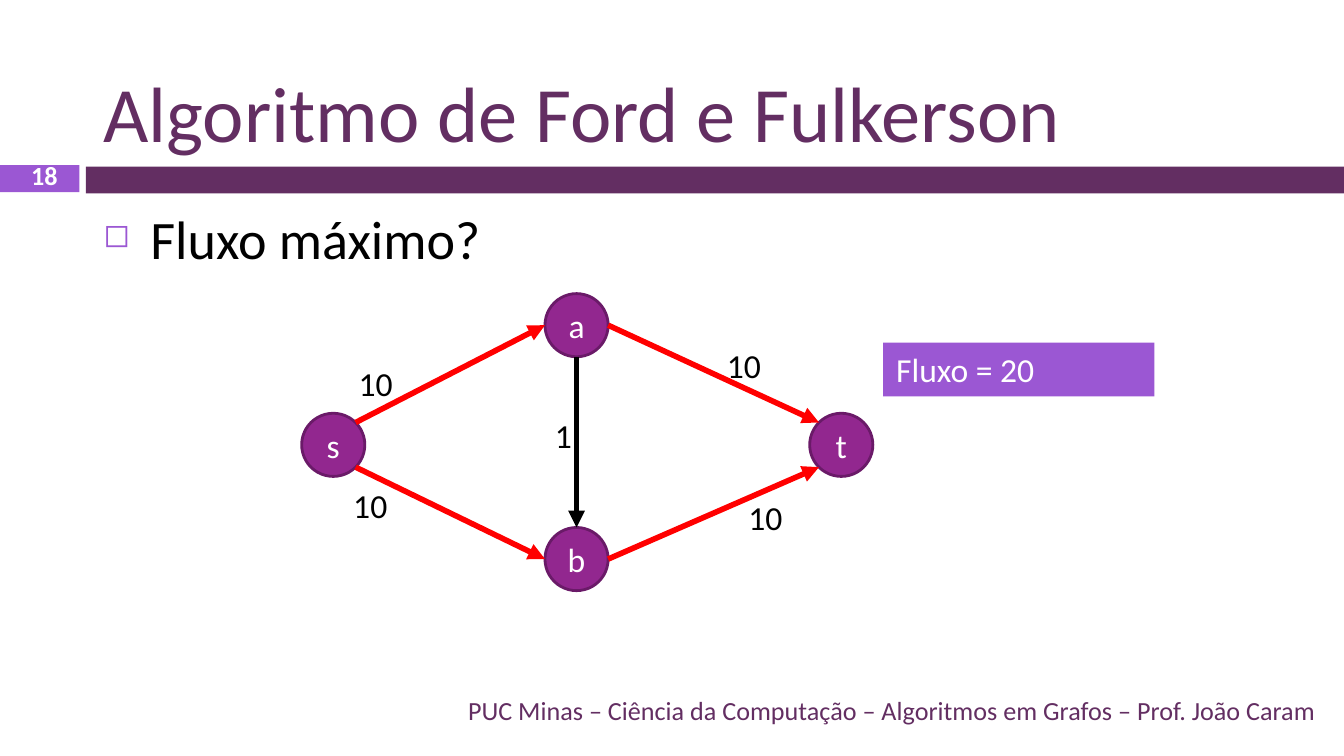
from math import sqrt

from lxml import etree
from pptx import Presentation
from pptx.dml.color import RGBColor
from pptx.enum import shapes, text
from pptx.oxml import ns
from pptx.util import Inches, Pt

THEME = {
    "font": "Calibri",
    "plum": "632E62", "violet": "9B57D3", "node": "92278F", "node_line": "6A1A68",
    "path": "FF0000", "black": "000000", "white": "FFFFFF",
    "title": 42, "body": 29, "label": 18, "small": 14,
}
LEFT, CENTER, RIGHT = text.PP_ALIGN.LEFT, text.PP_ALIGN.CENTER, text.PP_ALIGN.RIGHT
TOP, MIDDLE, BOTTOM = text.MSO_ANCHOR.TOP, text.MSO_ANCHOR.MIDDLE, text.MSO_ANCHOR.BOTTOM

BARS = [((0.64, 1.24, 9.37, 0.2), "plum"), ((0, 1.23, 0.59, 0.2), "violet")]
TITLE = "Algoritmo de Ford e Fulkerson"
QUESTION = "Fluxo máximo?"
PAGE_NUMBER = "18"
FOOTER = "PUC Minas – Ciência da Computação – Algoritmos em Grafos – Prof. João Caram"
RESULT = "Fluxo = 20"

NODE_SIZE = 0.47
NODES = {"s": (2.48, 3.31), "a": (4.29, 2.42), "b": (4.29, 4.16), "t": (6.26, 3.31)}
DIAGONAL = 1 / sqrt(2)
SIDES = {
    "top": (0, -1), "bottom": (0, 1), "left": (-1, 0), "right": (1, 0),
    "top right": (DIAGONAL, -DIAGONAL), "bottom right": (DIAGONAL, DIAGONAL),
    "top left": (-DIAGONAL, -DIAGONAL), "bottom left": (-DIAGONAL, DIAGONAL),
}
EDGES = [
    ("s", "top right", "a", "left", "path", "10", (2.57, 2.65)),
    ("s", "bottom right", "b", "left", "path", "10", (2.53, 3.56)),
    ("a", "right", "t", "top left", "path", "10", (5.31, 2.52)),
    ("b", "right", "t", "bottom left", "path", "10", (5.47, 3.65)),
    ("a", "bottom", "b", "top", "black", "1", (4.03, 3.04)),
]


def color(name):
    return RGBColor.from_string(THEME[name])


def write(shape, content, size, ink, align=LEFT, anchor=TOP, bold=False, wrap=True):
    frame = shape.text_frame
    frame.text = content
    frame.word_wrap = wrap
    frame.vertical_anchor = anchor
    paragraph = frame.paragraphs[0]
    paragraph.alignment = align
    font = paragraph.runs[0].font
    font.name, font.size, font.bold = THEME["font"], Pt(THEME[size]), bold
    font.color.rgb = color(ink)
    return paragraph


def add_text(slide, box, *args, **options):
    shape = slide.shapes.add_textbox(*map(Inches, box))
    return write(shape, *args, **options)


def add_block(slide, kind, box, fill, line=None):
    shape = slide.shapes.add_shape(kind, *map(Inches, box))
    shape.shadow.inherit = False
    shape.fill.solid()
    shape.fill.fore_color.rgb = color(fill)
    if line:
        shape.line.color.rgb = color(line)
        shape.line.width = Pt(1.5)
    else:
        shape.line.fill.background()
    return shape


def add_bullet(paragraph):
    paragraph.space_before = Pt(7)
    properties = paragraph._p.get_or_add_pPr()
    properties.set("marL", str(Inches(0.35)))
    properties.set("indent", str(-Inches(0.35)))
    bullet_color = etree.SubElement(properties, ns.qn("a:buClr"))
    etree.SubElement(bullet_color, ns.qn("a:srgbClr"), val=THEME["violet"])
    etree.SubElement(properties, ns.qn("a:buSzPct"), val="60000")
    etree.SubElement(properties, ns.qn("a:buChar"), char="◻")


def node_point(name, side):
    return [Inches(center + offset * NODE_SIZE / 2)
            for center, offset in zip(NODES[name], SIDES[side])]


def add_arrow(slide, start, end, ink):
    arrow = slide.shapes.add_connector(shapes.MSO_CONNECTOR.STRAIGHT, *start, *end)
    arrow.line.color.rgb = color(ink)
    arrow.line.width = Pt(3)
    etree.SubElement(arrow.line._get_or_add_ln(), ns.qn("a:tailEnd"), type="triangle")
    etree.SubElement(arrow._element.spPr, ns.qn("a:effectLst"))


def main():
    presentation = Presentation()
    presentation.slide_width = Inches(10)
    presentation.slide_height = Inches(10 * 9 / 16)
    slide = presentation.slides.add_slide(presentation.slide_layouts[6])
    rectangle, oval = shapes.MSO_SHAPE.RECTANGLE, shapes.MSO_SHAPE.OVAL

    for box, fill in BARS:
        add_block(slide, rectangle, box, fill)
    add_text(slide, (0.67, 0.13, 9.22, 1.1), TITLE, "title", "plum", anchor=BOTTOM)
    add_bullet(add_text(slide, (0.67, 1.48, 9.22, 3.58), QUESTION, "body", "black"))
    add_text(slide, (0.04, 1.2, 0.58, 0.2), PAGE_NUMBER, "small", "white",
             CENTER, MIDDLE, bold=True)
    add_text(slide, (0.67, 5.13, 9.22, 0.3), FOOTER, "small", "plum", RIGHT, MIDDLE)

    for name, (x, y) in NODES.items():
        box = (x - NODE_SIZE / 2, y - NODE_SIZE / 2, NODE_SIZE, NODE_SIZE)
        node = add_block(slide, oval, box, "node", "node_line")
        write(node, name, "label", "white", CENTER, MIDDLE)

    for source, exit_side, target, entry_side, ink, capacity, corner in EDGES:
        add_arrow(slide, node_point(source, exit_side), node_point(target, entry_side), ink)
        width = 0.2 + 0.14 * len(capacity)
        add_text(slide, (*corner, width, 0.4), capacity, "label", "black", wrap=False)

    result = add_block(slide, rectangle, (6.57, 2.55, 2.02, 0.4), "violet")
    write(result, RESULT, "label", "white")

    presentation.save("out.pptx")


if __name__ == "__main__":
    main()
